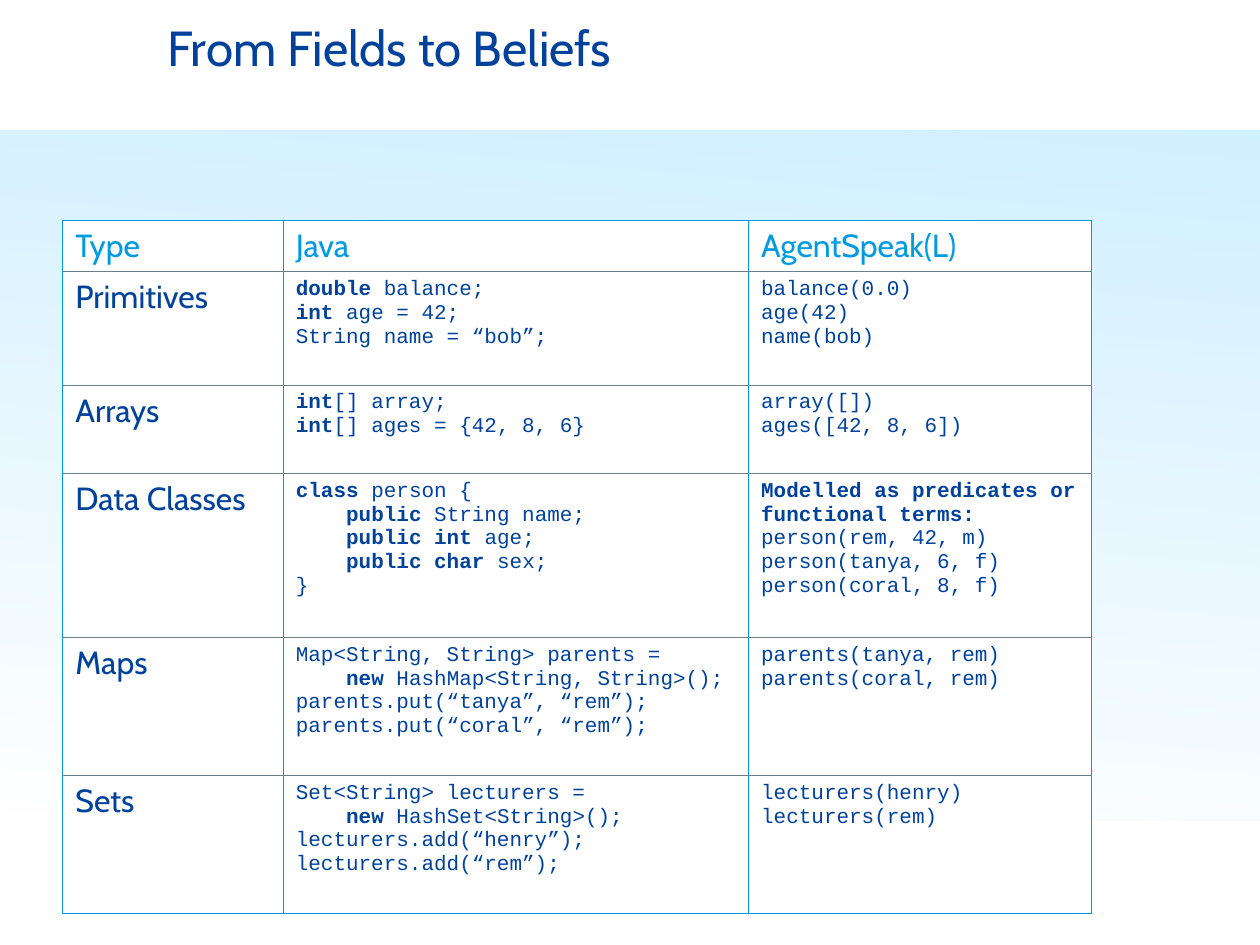
from dataclasses import dataclass

from lxml import etree
from pptx import Presentation
from pptx.dml.color import RGBColor as Rgb
from pptx.enum import shapes, text
from pptx.oxml import ns
from pptx.util import Cm, Pt


@dataclass(frozen=True)
class Theme:
    navy: str = "00429A"
    cyan: str = "009ADE"
    grey: str = "6A7F8A"
    sky: str = "66CCFF"
    white: str = "FFFFFF"
    sans: str = "Cabin"
    mono: str = "Courier New"
    title: int = 40
    label: int = 26
    code: int = 17


THEME = Theme()
WIDTH, HEIGHT = 36.12, 27.1
COLS = [6.32, 13.34, 9.83]
ROWS = [1.47, 3.25, 2.54, 4.7, 3.96, 3.96]

# Asterisks enclose bold words.
CELLS = [
    ("Type", "Java", "AgentSpeak(L)"),
    ("Primitives",
     "*double* balance;\n*int* age = 42;\nString name = “bob”;",
     "balance(0.0)\nage(42)\nname(bob)"),
    ("Arrays",
     "*int*[] array;\n*int*[] ages = {42, 8, 6}",
     "array([])\nages([42, 8, 6])"),
    ("Data Classes",
     "*class* person {\n    *public* String name;\n    *public int* age;\n"
     "    *public char* sex;\n}",
     "*Modelled as predicates or functional terms:*\n"
     "person(rem, 42, m)\nperson(tanya, 6, f)\nperson(coral, 8, f)"),
    ("Maps",
     "Map<String, String> parents =\n    *new *HashMap<String, String>();\n"
     "parents.put(“tanya”, “rem”);\nparents.put(“coral”, “rem”);",
     "parents(tanya, rem)\nparents(coral, rem)"),
    ("Sets",
     "Set<String> lecturers =\n    *new *HashSet<String>();\n"
     "lecturers.add(“henry”);\nlecturers.add(“rem”);",
     "lecturers(henry)\nlecturers(rem)"),
]


def write(frame, words, face, size, color):
    """Write one paragraph a line, with a run for each change of weight."""
    for i, line in enumerate(words.split("\n")):
        para = frame.paragraphs[0] if i == 0 else frame.add_paragraph()
        para.alignment = text.PP_ALIGN.LEFT
        para.space_before = Pt(0)
        for j, part in enumerate(line.split("*")):
            if part:
                run = para.add_run()
                run.text = part
                font = run.font
                font.name, font.size, font.bold = face, Pt(size), j % 2 == 1
                font.color.rgb = Rgb.from_string(color)


def add_title(slide, words):
    title = slide.shapes.title
    title.left, title.top = Cm(4.65), Cm(0.36)
    title.width, title.height = Cm(29.49), Cm(4.19)
    frame = title.text_frame
    frame.auto_size = text.MSO_AUTO_SIZE.NONE
    frame.vertical_anchor = text.MSO_ANCHOR.TOP
    frame.margin_left = frame.margin_right = Cm(0.15)
    frame.margin_top = frame.margin_bottom = Cm(0.15)
    write(frame, words, THEME.sans, THEME.title, THEME.navy)


def add_band(slide):
    """Put the pale gradient band behind the title."""
    band = slide.shapes.add_shape(
        shapes.MSO_SHAPE.RECTANGLE, 0, Cm(3.73), Cm(WIDTH), Cm(19.81))
    band.shadow.inherit = False
    band.line.fill.background()
    band.fill.gradient()
    band.fill.gradient_angle = 265
    ends = zip(band.fill.gradient_stops, (THEME.sky, THEME.white), (0, 1))
    for stop, color, place in ends:
        stop.color.rgb = Rgb.from_string(color)
        stop.position = place
    for color in band._element.spPr.iter(ns.qn("a:srgbClr")):
        etree.SubElement(color, ns.qn("a:alpha"), val="30000")
    slide.shapes.title._element.addprevious(band._element)


def add_edge(cell, side, color):
    props = cell._tc.get_or_add_tcPr()
    line = etree.SubElement(props, ns.qn("a:ln" + side), w=str(Pt(1)))
    fill = etree.SubElement(line, ns.qn("a:solidFill"))
    etree.SubElement(fill, ns.qn("a:srgbClr"), val=color)


def style_cell(cell, top, bottom):
    cell.margin_left = cell.margin_right = Cm(0.36)
    cell.margin_top = cell.margin_bottom = Cm(0.18)
    cell.vertical_anchor = text.MSO_ANCHOR.TOP
    for side, color in zip("LRTB", (THEME.cyan, THEME.cyan, top, bottom)):
        add_edge(cell, side, color)
    cell.fill.solid()
    cell.fill.fore_color.rgb = Rgb.from_string(THEME.white)


def add_grid(slide):
    grid = slide.shapes.add_table(
        len(ROWS), len(COLS), Cm(1.8), Cm(6.32),
        Cm(sum(COLS)), Cm(sum(ROWS))).table
    grid.first_row = grid.horz_banding = False
    for col, width in zip(grid.columns, COLS):
        col.width = Cm(width)
    for row, height in zip(grid.rows, ROWS):
        row.height = Cm(height)
    last = len(ROWS) - 1
    for r, row in enumerate(CELLS):
        top = THEME.cyan if r == 0 else THEME.grey
        bottom = THEME.cyan if r == last else THEME.grey
        for c, words in enumerate(row):
            cell = grid.cell(r, c)
            style_cell(cell, top, bottom)
            label = r == 0 or c == 0
            write(cell.text_frame, words,
                  THEME.sans if label else THEME.mono,
                  THEME.label if label else THEME.code,
                  THEME.cyan if r == 0 else THEME.navy)


def main():
    deck = Presentation()
    deck.slide_width, deck.slide_height = Cm(WIDTH), Cm(HEIGHT)
    slide = deck.slides.add_slide(deck.slide_layouts[5])
    add_title(slide, "From Fields to Beliefs")
    add_band(slide)
    add_grid(slide)
    deck.save("out.pptx")


if __name__ == "__main__":
    main()
